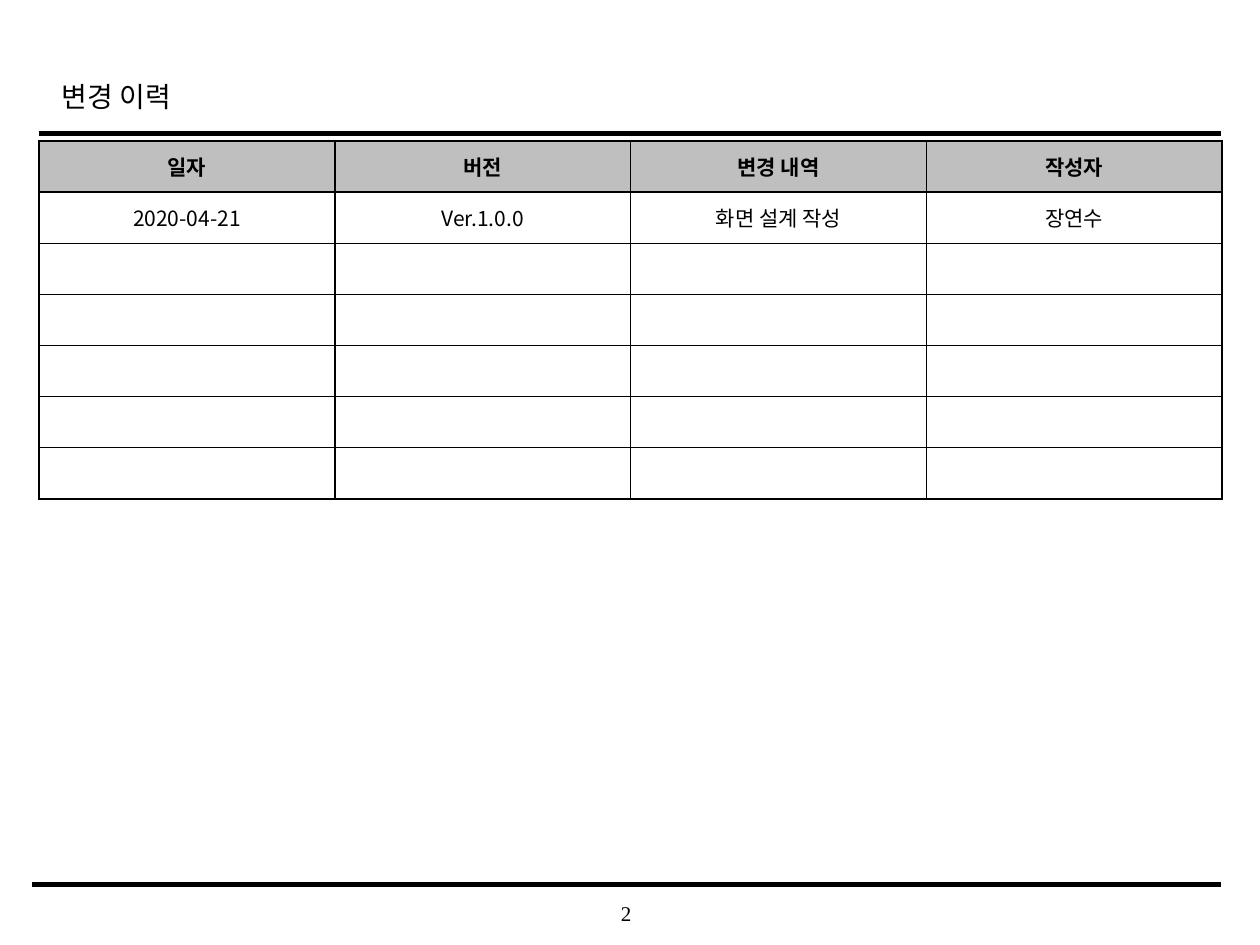
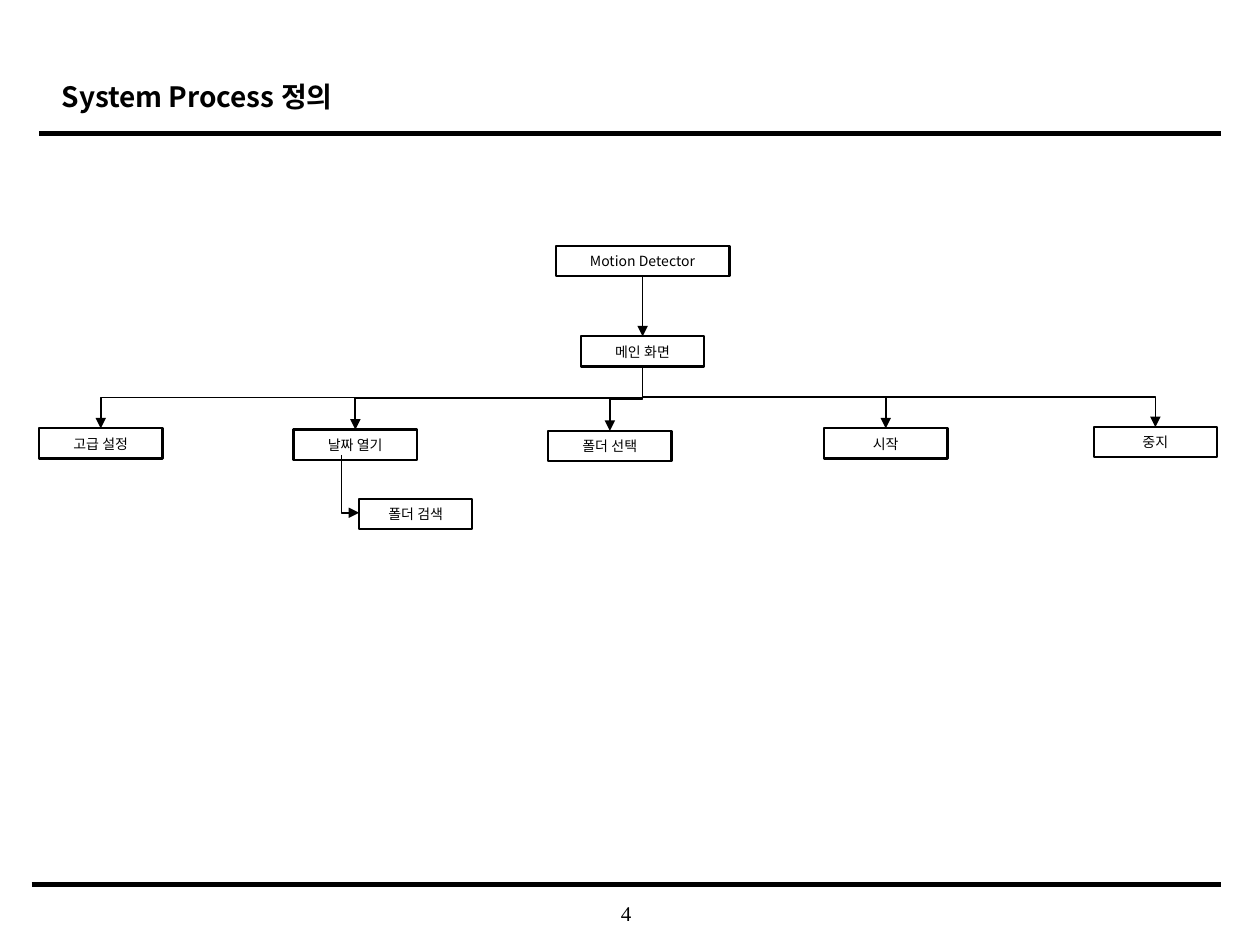
"""Build the change log and system process slides."""
from dataclasses import dataclass

import lxml.etree
import pptx
import pptx.dml.color
import pptx.enum.shapes
import pptx.enum.text
import pptx.oxml
import pptx.oxml.ns
import pptx.util

Inches = pptx.util.Inches
Pt = pptx.util.Pt
qn = pptx.oxml.ns.qn
Align = pptx.enum.text.PP_ALIGN
Anchor = pptx.enum.text.MSO_ANCHOR
Link = pptx.enum.shapes.MSO_CONNECTOR

BLACK = pptx.dml.color.RGBColor(0x00, 0x00, 0x00)
WHITE = pptx.dml.color.RGBColor(0xFF, 0xFF, 0xFF)
GREY = pptx.dml.color.RGBColor(0xBF, 0xBF, 0xBF)
SANS = "Noto Sans CJK KR"
SERIF = "Times New Roman"

HEADS = ["일자", "버전", "변경 내역", "작성자"]
FIRST = ["2020-04-21", "Ver.1.0.0", "화면 설계 작성", "장연수"]
ROWS = 7


@dataclass(frozen=True)
class Box:
    """A labelled step, measured in inches."""
    text: str
    left: float
    top: float
    width: float = 0.98
    height: float = 0.24

    @property
    def mid(self) -> float:
        """Return the horizontal centre."""
        return self.left + self.width / 2


@dataclass(frozen=True)
class Rule:
    """A level line across the page, in inches and points."""
    left: float
    top: float
    weight: float
    right: float = 9.69


ROOT = Box("Motion Detector", 4.41, 1.95, 1.38)
MAIN = Box("메인 화면", 4.61, 2.67)
STEPS = [
    Box("고급 설정", 0.31, 3.4),
    Box("날짜 열기", 2.33, 3.41),
    Box("폴더 선택", 4.35, 3.42),
    Box("시작", 6.54, 3.4),
    Box("중지", 8.68, 3.39),
]
SEARCH = Box("폴더 검색", 2.85, 3.96, 0.9)
RULES = [Rule(0.31, 1.06, 2.5), Rule(0.25, 7.02, 3)]


def write(frame, text: str, *, size: float = 12, bold: bool = False,
          face: str = SANS, align=Align.CENTER, inset: float = 0,
          space: float = 1.0) -> None:
    """Put one formatted line of text in a frame."""
    frame.word_wrap = True
    frame.auto_size = pptx.enum.text.MSO_AUTO_SIZE.NONE
    frame.vertical_anchor = Anchor.MIDDLE
    frame.margin_left = frame.margin_right = Inches(inset)
    frame.margin_top = frame.margin_bottom = Inches(inset / 2)
    para = frame.paragraphs[0]
    para.alignment = align
    para.line_spacing = space
    run = para.add_run()
    run.text = text
    run.font.size = Pt(size)
    run.font.bold = bold
    run.font.name = face
    run.font.color.rgb = BLACK
    east = lxml.etree.SubElement(run.font._element, qn("a:ea"))
    east.set("typeface", face)


def ink(line, weight: float, tip: bool = False) -> None:
    """Style a connector, with an arrowhead if wanted."""
    line.line.color.rgb = BLACK
    line.line.width = Pt(weight)
    if tip:
        stroke = line.line._get_or_add_ln()
        lxml.etree.SubElement(stroke, qn("a:tailEnd")).set("type", "triangle")
    lxml.etree.SubElement(line._element.spPr, qn("a:effectLst"))


def start(deck, title: str, page: str, bold: bool = False):
    """Add a slide with its title, rules and page number."""
    slide = deck.slides.add_slide(deck.slide_layouts[5])
    head = slide.shapes.title
    head.left, head.top = Inches(0.39), Inches(0.49)
    head.width, head.height = Inches(7.55), Inches(0.5)
    write(head.text_frame, title, size=16, bold=bold, align=Align.LEFT,
          inset=0.1, space=1.2)
    for rule in RULES:
        line = slide.shapes.add_connector(
            Link.STRAIGHT, Inches(rule.left), Inches(rule.top),
            Inches(rule.right), Inches(rule.top))
        ink(line, rule.weight)
    foot = slide.shapes.add_textbox(
        Inches(3.93), Inches(7.08), Inches(2.08), Inches(0.33))
    write(foot.text_frame, page, face=SERIF)
    return slide


def edge(cell) -> None:
    """Draw a thin black border on all sides of a cell."""
    props = cell._tc.get_or_add_tcPr()
    for side in ("lnL", "lnR", "lnT", "lnB"):
        line = lxml.etree.SubElement(props, qn(f"a:{side}"))
        line.set("w", str(Pt(1)))
        fill = lxml.etree.SubElement(line, qn("a:solidFill"))
        lxml.etree.SubElement(fill, qn("a:srgbClr")).set("val", str(BLACK))


def grid(slide) -> None:
    """Add the change log table."""
    table = slide.shapes.add_table(
        ROWS, len(HEADS), Inches(0.31), Inches(1.12),
        Inches(9.39), Inches(2.84)).table
    texts = [HEADS, FIRST] + [[""] * len(HEADS)] * (ROWS - 2)
    for row, line in enumerate(texts):
        for col, text in enumerate(line):
            cell = table.cell(row, col)
            edge(cell)
            cell.fill.solid()
            cell.fill.fore_color.rgb = GREY if row == 0 else WHITE
            cell.vertical_anchor = Anchor.MIDDLE
            if text:
                write(cell.text_frame, text, bold=row == 0, inset=0.1)


def draw(slide, box: Box):
    """Add one outlined box with its label."""
    shape = slide.shapes.add_shape(
        pptx.enum.shapes.MSO_SHAPE.RECTANGLE, Inches(box.left),
        Inches(box.top), Inches(box.width), Inches(box.height))
    shape.shadow.inherit = False
    shape.fill.background()
    shape.line.color.rgb = BLACK
    shape.line.width = Pt(1.25)
    write(shape.text_frame, box.text, size=8)
    return shape


def bend(slide, x1: float, y1: float, x2: float, y2: float,
         kind: str = "bentConnector3") -> None:
    """Add an elbow arrow that leaves its start point downwards."""
    drop, shift = y2 - y1, abs(x2 - x1)
    left, top = (x1 + x2 - drop) / 2, (y1 + y2 - shift) / 2
    ends = [left, left + drop]
    turn = 90
    if x2 > x1:
        ends.reverse()
        turn = 270
    line = slide.shapes.add_connector(
        Link.ELBOW, Inches(ends[0]), Inches(top),
        Inches(ends[1]), Inches(top + shift))
    props = line._element.spPr
    props.find(qn("a:xfrm")).set("rot", str(turn * 60000))
    props.find(qn("a:prstGeom")).set("prst", kind)
    ink(line, 1, tip=True)


def chart(slide) -> None:
    """Add the process tree and its arrows."""
    root, main_box = draw(slide, ROOT), draw(slide, MAIN)
    stem = slide.shapes.add_connector(Link.STRAIGHT, 0, 0, 0, 0)
    stem.begin_connect(root, 2)
    stem.end_connect(main_box, 0)
    ink(stem, 1, tip=True)
    for step in STEPS:
        draw(slide, step)
        bend(slide, MAIN.mid, MAIN.top + MAIN.height, step.mid, step.top)
    draw(slide, SEARCH)
    bend(slide, 2.71, 3.61, SEARCH.left, 4.07, "bentConnector2")


def main() -> None:
    """Build and save the deck."""
    deck = pptx.Presentation()
    deck.slide_width, deck.slide_height = Inches(10), Inches(7.5)
    grid(start(deck, "변경 이력", "2"))
    chart(start(deck, "System Process 정의", "4", bold=True))
    deck.save("out.pptx")


if __name__ == "__main__":
    main()
